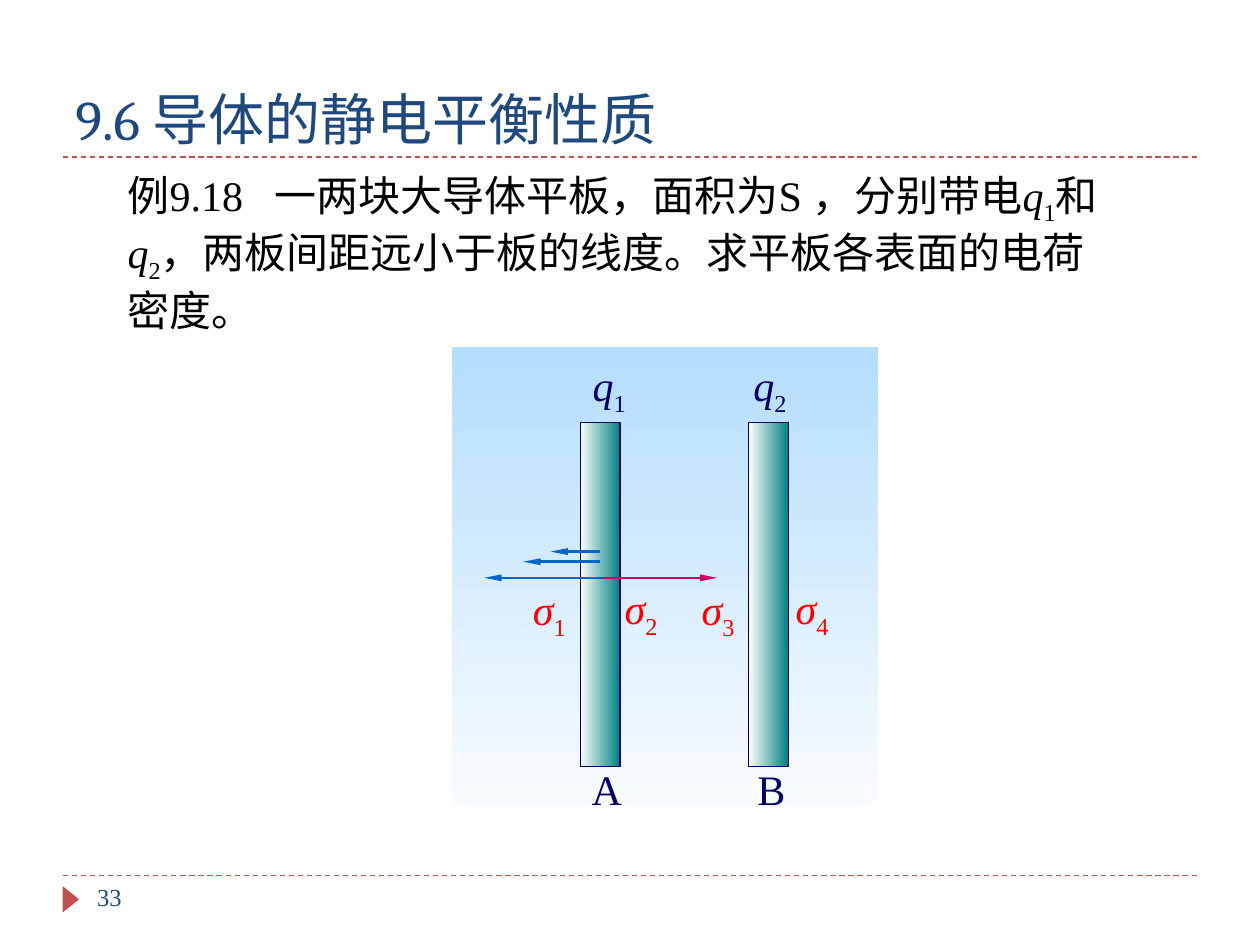
from pptx import Presentation
from pptx.util import Pt
from pptx.dml.color import RGBColor as RGB
from pptx.enum.dml import MSO_LINE as Dash
from pptx.enum.shapes import MSO_SHAPE as Kind, MSO_CONNECTOR as Conn
from pptx.enum.text import MSO_ANCHOR as Anchor
from pptx.oxml.ns import qn
from lxml.etree import SubElement as Sub

# Content
COLORS = dict(title="1F497D", rule="C0504D", text="000000", navy="000066",
              red="FF0000", sky="B4DDFE", white="FFFFFF", teal="008080",
              pink="CC0066", blue="0066CC")
TITLE = "9.6 导体的静电平衡性质"
PAGE = "33"
# Each run: text, style ("" plain, "i" italic, "sub" subscript, "gap" wide)
BODY = [("例9.18", ""), (" ", "gap"), ("一两块大导体平板，面积为S ，分别带电", ""),
        ("q", "i"), ("1", "sub"), ("和 ", ""), ("q", "i"), ("2", "sub"),
        ("，两板间距远小于板的线度。求平板各表面的电荷密度。", "")]
# Plates: name, index, left, charge left, name left
PLATES = [("A", "1", 331.6, 331.5, 331), ("B", "2", 427.9, 423.4, 425.7)]
# Surface densities: index, left, top
SIGMAS = [("1", 297.4, 330.1), ("2", 349.9, 329.5),
          ("3", 393.8, 330.1), ("4", 447.6, 329.5)]
# Field arrows: from x, to x, y, colour
ARROWS = [(344.2, 409.9, 330.2, "pink"), (344.2, 276.8, 330.2, "blue"),
          (342.8, 299, 321, "blue"), (342.8, 314.6, 315.2, "blue")]
RULES = [89.8, 500.2]

prs = Presentation()
prs.slide_width, prs.slide_height = Pt(720), Pt(540)
slide = prs.slides.add_slide(prs.slide_layouts[6])
shapes = slide.shapes


def color(name):
    return RGB.from_string(COLORS[name])


def text(runs, x, y, w, h, tint, size=24, font="Times New Roman",
         wrap=True, anchor=Anchor.TOP):
    frame = shapes.add_textbox(Pt(x), Pt(y), Pt(w), Pt(h)).text_frame
    frame.word_wrap = wrap
    frame.vertical_anchor = anchor
    para = frame.paragraphs[0]
    for words, style in runs:
        run = para.add_run()
        run.text = words
        run.font.size = Pt(size)
        run.font.name = font
        run.font.color.rgb = color(tint)
        run.font.italic = style == "i"
        if style == "sub":
            run.font._element.set("baseline", "-25000")
        elif style == "gap":
            run.font._element.set("spc", "1200")


def line(x1, y1, x2, y2, tint, width):
    item = shapes.add_connector(Conn.STRAIGHT, Pt(x1), Pt(y1), Pt(x2), Pt(y2))
    item.line.color.rgb = color(tint)
    item.line.width = Pt(width)
    Sub(item._element.spPr, qn("a:effectLst"))
    return item


def box(kind, x, y, w, h):
    item = shapes.add_shape(kind, Pt(x), Pt(y), Pt(w), Pt(h))
    item.shadow.inherit = False
    item.line.fill.background()
    return item


def fade(item, start, end, angle):
    item.fill.gradient()
    item.fill.gradient_angle = angle
    for stop, tint in zip(item.fill.gradient_stops, (start, end)):
        stop.color.rgb = color(tint)


# Frame of the page
for y in RULES:
    line(36, y, 684, y, "rule", 0.75).line.dash_style = Dash.DASH
mark = box(Kind.ISOSCELES_TRIANGLE, 32.9, 509.2, 15.1, 9.4)
mark.rotation = 90
mark.fill.solid()
mark.fill.fore_color.rgb = color("rule")
text([(TITLE, "")], 36, 18, 648, 72, "title", 32, "Cambria",
     anchor=Anchor.BOTTOM)
text([(PAGE, "")], 48.4, 500.4, 156, 28.8, "title", 14)

# Problem
text(BODY, 65.9, 93.3, 576, 94.3, "text")

# Figure: backdrop, densities, plates, labels
fade(box(Kind.RECTANGLE, 258.2, 198.3, 243.8, 283.7), "sky", "white", 270)
for num, x, y in SIGMAS:
    text([("σ", "i"), (num, "sub")], x, y, 36.7, 36, "red")
for name, num, x, qx, nx in PLATES:
    plate = box(Kind.RECTANGLE, x, 241.6, 22.7, 196.6)
    fade(plate, "white", "teal", 0)
    plate.line.color.rgb = color("navy")
    plate.line.width = Pt(0.75)
    text([("q", "i"), (num, "sub")], qx, 202, 34.6, 36, "navy", wrap=False)
    text([(name, "")], nx, 432.7, 31, 36, "navy", wrap=False)

# Field arrows
for x1, x2, y, tint in ARROWS:
    arrow = line(x1, y, x2, y, tint, 1.5)
    Sub(arrow.line._get_or_add_ln(), qn("a:tailEnd"),
        type="triangle", w="sm", len="lg")

prs.save("out.pptx")
